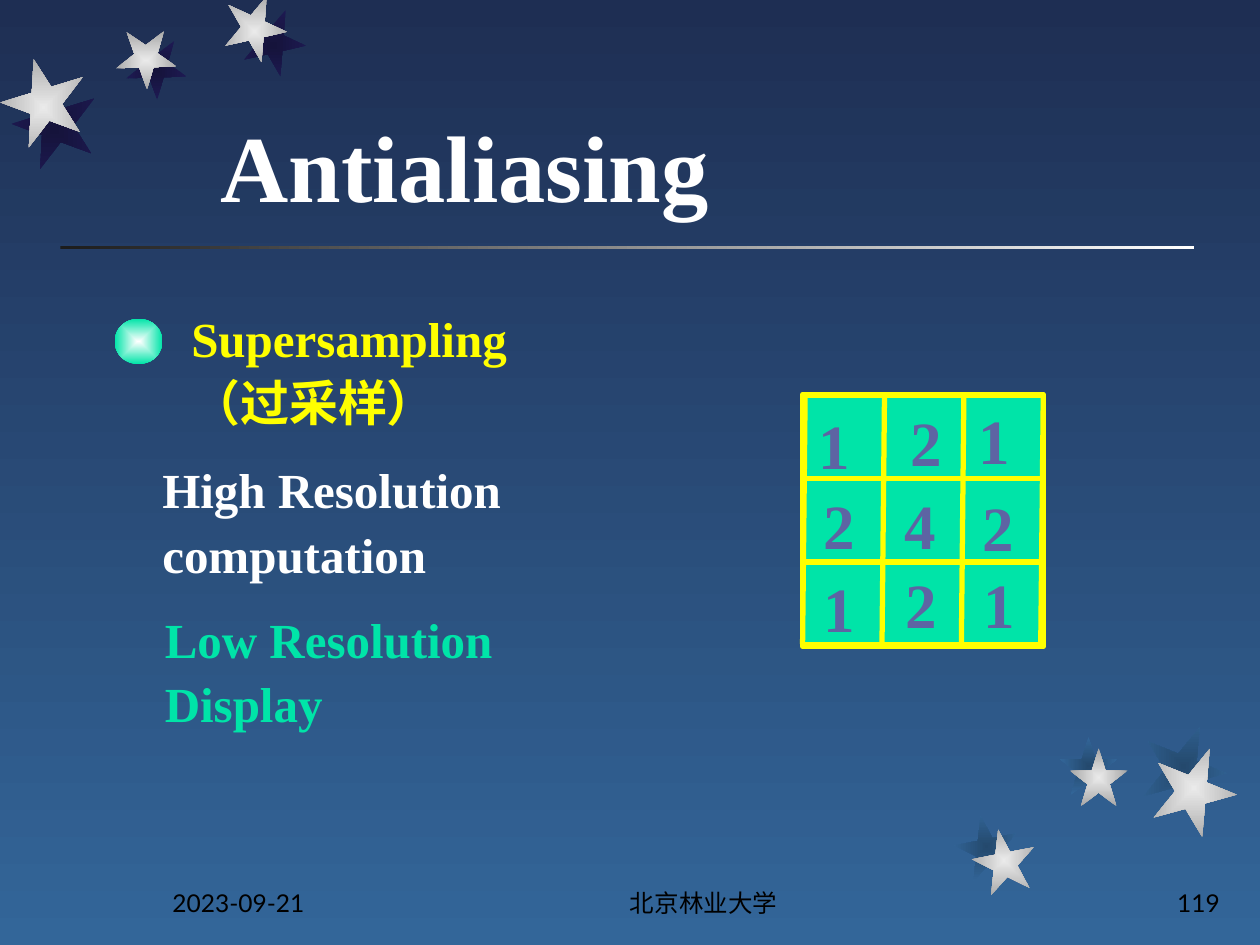
import pptx
import pptx.dml.color
import pptx.enum.shapes
import pptx.enum.text
import pptx.oxml.ns
import pptx.util
import lxml.etree

Inches = pptx.util.Inches
Pt = pptx.util.Pt
Kind = pptx.enum.shapes.MSO_SHAPE
Anchor = pptx.enum.text.MSO_ANCHOR
Align = pptx.enum.text.PP_ALIGN
qn = pptx.oxml.ns.qn


class Theme:
    sky = ("1E2E53", "336699")
    rule = ("1C1C1C", "FFFFFF")
    star = ("EAEAEA", "A7A7A7")
    dark = ("15133B", "1E1A53")
    dusk = ("24496D", "336699")
    mint, white, yellow, black, digit = "00E4A8", "FFFFFF", "FFFF00", "000000", "5D64A3"
    pen = Pt(3)
    title = {"name": "Times New Roman", "size": Pt(54), "bold": True}
    body = {"name": "Times New Roman", "size": Pt(28), "bold": True}
    cell = {"name": "Times New Roman", "size": Pt(36), "bold": True}
    foot = {"name": "Lato", "size": Pt(14), "bold": False}


class Maker:
    def __init__(self, slide, theme):
        self.slide, self.theme = slide, theme

    def tone(self, code):
        return pptx.dml.color.RGBColor.from_string(code)

    def blend(self, fill, pair, angle=0):
        fill.gradient()
        fill.gradient_angle = angle
        for stop, code in zip(fill.gradient_stops, pair):
            stop.color.rgb = self.tone(code)

    def shape(self, kind, box, turn=0):
        item = self.slide.shapes.add_shape(kind, *map(Inches, box))
        item.shadow.inherit = False
        item.rotation = turn
        item.line.fill.background()
        return item

    def band(self, box, pair):
        self.blend(self.shape(Kind.RECTANGLE, box).fill, pair)

    def glow(self, kind, box, pair, turn=0):
        item = self.shape(kind, box, turn)
        self.blend(item.fill, pair)
        grad = item._element.spPr.find(qn("a:gradFill"))
        grad.remove(grad.find(qn("a:lin")))
        ring = lxml.etree.SubElement(grad, qn("a:path"), {"path": "shape"})
        sides = dict.fromkeys("ltrb", "50000")
        lxml.etree.SubElement(ring, qn("a:fillToRect"), sides)

    def block(self, box, fill, line):
        item = self.shape(Kind.RECTANGLE, box)
        item.fill.solid()
        item.fill.fore_color.rgb = self.tone(fill)
        item.line.color.rgb = self.tone(line)
        item.line.width = self.theme.pen

    def line(self, ends, code):
        straight = pptx.enum.shapes.MSO_CONNECTOR.STRAIGHT
        item = self.slide.shapes.add_connector(straight, *map(Inches, ends))
        item.line.color.rgb = self.tone(code)
        item.line.width = self.theme.pen
        lxml.etree.SubElement(item._element.spPr, qn("a:effectLst"))

    def text(self, box, lines, style, code, anchor=Anchor.TOP, align=Align.LEFT, pitch=1.0):
        frame = self.slide.shapes.add_textbox(*map(Inches, box)).text_frame
        frame.word_wrap = True
        frame.vertical_anchor = anchor
        frame.text = lines
        for para in frame.paragraphs:
            para.alignment = align
            para.line_spacing = pitch
            for key, value in style.items():
                setattr(para.font, key, value)
            para.font.color.rgb = self.tone(code)


def main():
    deck = pptx.Presentation()
    deck.slide_width, deck.slide_height = Inches(10), Inches(7.5)
    slide = deck.slides.add_slide(deck.slide_layouts[6])
    theme = Theme()
    make = Maker(slide, theme)
    make.blend(slide.background.fill, theme.sky, 270)
    make.band((0.48, 1.95, 9, 0.03), theme.rule)

    groups = [
        (theme.dark, [
            (1.77, 0, 0.5, 0.5, 167.3, 0.15, 0.11),
            (0.92, 0.25, 0.48, 0.46, 178.3, 0.08, 0.08),
            (0.01, 0.52, 0.67, 0.67, 200.3, 0.09, 0.17),
        ]),
        (theme.dusk, [
            (7.72, 6.58, 0.5, 0.5, 349, -0.14, -0.11),
            (8.49, 5.94, 0.46, 0.46, 0, -0.08, -0.09),
            (9.14, 5.92, 0.67, 0.67, 22, -0.08, -0.17),
        ]),
    ]
    for shade, stars in groups:
        for x, y, w, h, turn, dx, dy in stars:
            make.glow(Kind.STAR_5_POINT, (x + dx, y + dy, w, h), shade, turn)
        for x, y, w, h, turn, dx, dy in stars:
            make.glow(Kind.STAR_5_POINT, (x, y, w, h), theme.star, turn)

    for left, width, words, align in [
        (1.27, 2.08, "2023-09-21", Align.LEFT),
        (4, 3.17, "北京林业大学", Align.CENTER),
        (7.7, 2.08, "119", Align.RIGHT),
    ]:
        make.text((left, 6.83, width, 0.5), words, theme.foot, theme.black,
                  Anchor.BOTTOM, align)

    make.block((6.37, 3.13, 1.91, 2), theme.mint, theme.yellow)
    for i in range(4):
        x, y = 6.39 + 0.63 * i, 3.14 + 0.66 * i
        make.line((x, 3.15, x - 0.02, 5.11), theme.yellow)
        make.line((6.36, y, 8.29, y), theme.yellow)

    make.text((1.65, 0.63, 6.68, 1.18), "Antialiasing", theme.title, theme.white,
              Anchor.BOTTOM)
    for mark, x, y in [
        ("1", 6.4, 3.12), ("2", 7.13, 3.09), ("1", 7.67, 3.08),
        ("2", 6.44, 3.75), ("4", 7.08, 3.75), ("2", 7.7, 3.77),
        ("1", 6.44, 4.41), ("2", 7.09, 4.38), ("1", 7.71, 4.38),
    ]:
        make.text((x, y, 0.54, 0.78), mark, theme.cell, theme.digit, pitch=1.1)

    make.glow(Kind.OVAL, (0.91, 2.53, 0.38, 0.36), (theme.white, theme.mint))
    for box, words, code in [
        ((1.42, 2.35, 3.56, 1.32), "Supersampling\n（过采样）", theme.yellow),
        ((1.19, 3.55, 3.48, 0.78), "High Resolution computation", theme.white),
        ((1.21, 4.74, 3, 1.13), "Low Resolution Display", theme.mint),
    ]:
        make.text(box, words, theme.body, code, pitch=1.1)

    deck.save("out.pptx")


if __name__ == "__main__":
    main()
